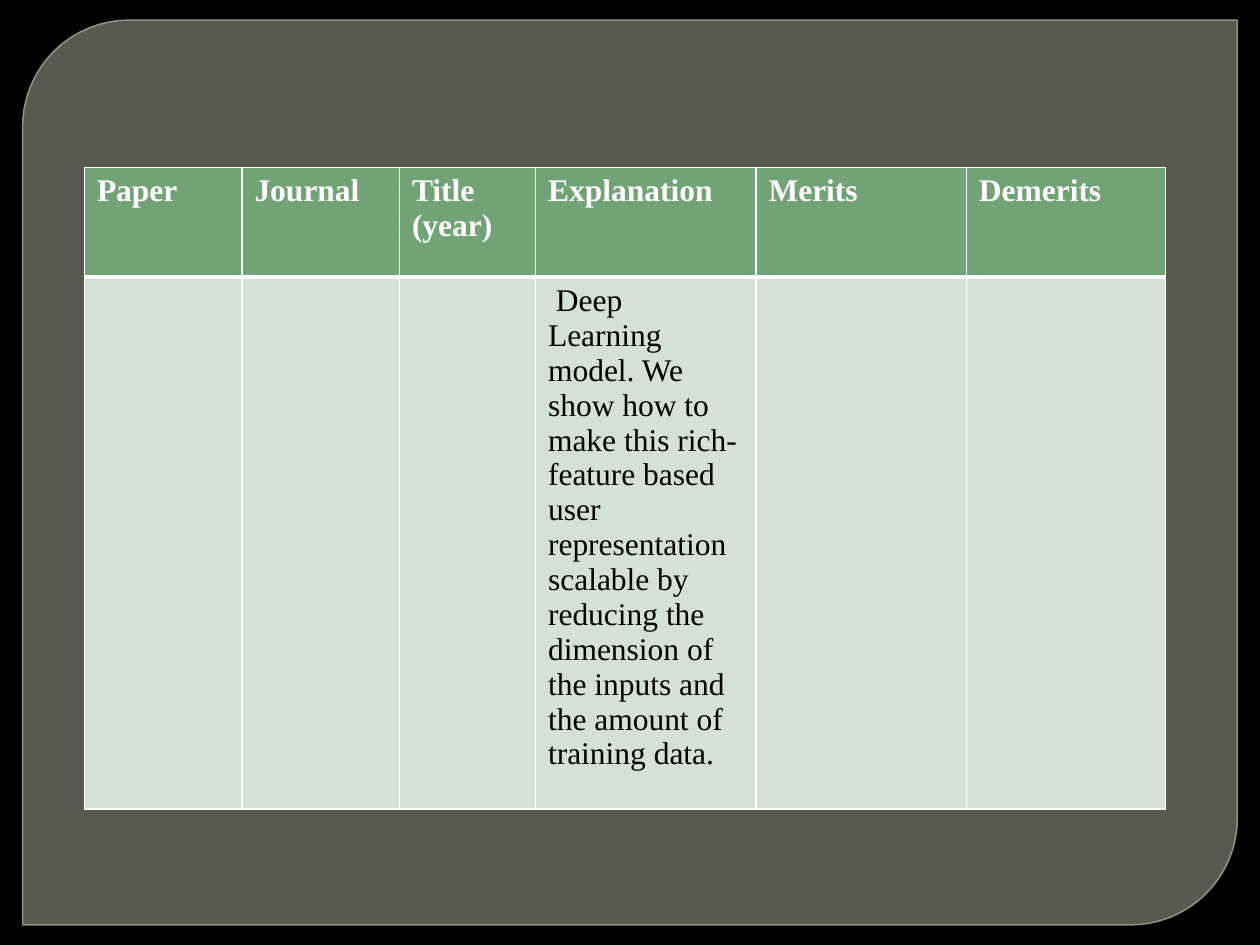
from lxml.etree import SubElement
from pptx import Presentation
from pptx.dml.color import RGBColor
from pptx.enum.shapes import MSO_SHAPE
from pptx.oxml import parse_xml
from pptx.oxml.ns import nsdecls, qn
from pptx.util import Inches, Pt

HEADERS = ["Paper", "Journal", "Title (year)", "Explanation", "Merits", "Demerits"]
STUDY = {
    "Explanation": " Deep Learning model. We show how to make this rich-feature based user "
                   "representation scalable by reducing the dimension of the inputs and "
                   "the amount of training data.",
}
COLUMN_WIDTHS = [1.25, 1.25, 1.08, 1.75, 1.67, 1.58]
ROW_HEIGHTS = [0.87, 4.22]
TABLE_LEFT, TABLE_TOP = 0.67, 1.33
PANEL_BOX = (0.18, 0.16, 9.64, 7.18)

THEME = {
    "font": "Times New Roman",
    "size": 18,
    "background": "000000",
    "panel": "888B7B",
    "panel_alpha": 65,
    "panel_line": "9DA090",
    "panel_line_alpha": 88,
    "panel_line_width": 0.87,
    "header_fill": "72A376",
    "header_text": "FFFFFF",
    "body_fill": "D5E0D6",
    "body_text": "000000",
    "border": "FFFFFF",
    "thin": 1,
    "thick": 3,
}


def paint(fill, color, alpha=None):
    """Fill with a solid colour; alpha is the opacity in percent."""
    fill.solid()
    fill.fore_color.rgb = RGBColor.from_string(color)
    if alpha is not None:
        color_element = fill._xPr.find(qn("a:solidFill"))[0]
        SubElement(color_element, qn("a:alpha")).set("val", str(alpha * 1000))


def write(text_frame, text, *, color, bold=False):
    paragraph = text_frame.paragraphs[0]
    paragraph.font.size = Pt(THEME["size"])
    if text:
        run = paragraph.add_run()
        run.text = text
        run.font.name = THEME["font"]
        run.font.size = Pt(THEME["size"])
        run.font.bold = bold
        run.font.color.rgb = RGBColor.from_string(color)


def set_borders(cell, widths):
    """Draw the left, right, top and bottom edges; widths are in points."""
    properties = cell._tc.get_or_add_tcPr()
    for index, (side, width) in enumerate(zip("LRTB", widths)):
        properties.insert(index, parse_xml(
            f'<a:ln{side} {nsdecls("a")} w="{Pt(width)}"><a:solidFill>'
            f'<a:srgbClr val="{THEME["border"]}"/></a:solidFill></a:ln{side}>'))


def add_panel(slide):
    panel = slide.shapes.add_shape(
        MSO_SHAPE.ROUND_2_DIAG_RECTANGLE, *map(Inches, PANEL_BOX))
    panel.adjustments[0] = 0.118
    panel.adjustments[1] = 0
    panel.shadow.inherit = False
    paint(panel.fill, THEME["panel"], THEME["panel_alpha"])
    panel.line.width = Pt(THEME["panel_line_width"])
    paint(panel.line.fill, THEME["panel_line"], THEME["panel_line_alpha"])


def add_survey_table(slide):
    rows = [HEADERS, [STUDY.get(header, "") for header in HEADERS]]
    table = slide.shapes.add_table(
        len(rows), len(HEADERS), Inches(TABLE_LEFT), Inches(TABLE_TOP),
        Inches(sum(COLUMN_WIDTHS)), Inches(sum(ROW_HEIGHTS))).table
    for column, width in zip(table.columns, COLUMN_WIDTHS):
        column.width = Inches(width)
    thin, thick = THEME["thin"], THEME["thick"]
    for row_index, texts in enumerate(rows):
        table.rows[row_index].height = Inches(ROW_HEIGHTS[row_index])
        is_header = row_index == 0
        kind = "header" if is_header else "body"
        edges = (thin, thin, thin, thick) if is_header else (thin, thin, thick, thin)
        for column_index, text in enumerate(texts):
            cell = table.cell(row_index, column_index)
            paint(cell.fill, THEME[f"{kind}_fill"])
            set_borders(cell, edges)
            write(cell.text_frame, text, color=THEME[f"{kind}_text"], bold=is_header)


def main():
    presentation = Presentation()
    presentation.slide_width, presentation.slide_height = Inches(10), Inches(7.5)
    slide = presentation.slides.add_slide(presentation.slide_layouts[6])
    paint(slide.background.fill, THEME["background"])
    add_panel(slide)
    add_survey_table(slide)
    presentation.save("out.pptx")


if __name__ == "__main__":
    main()
